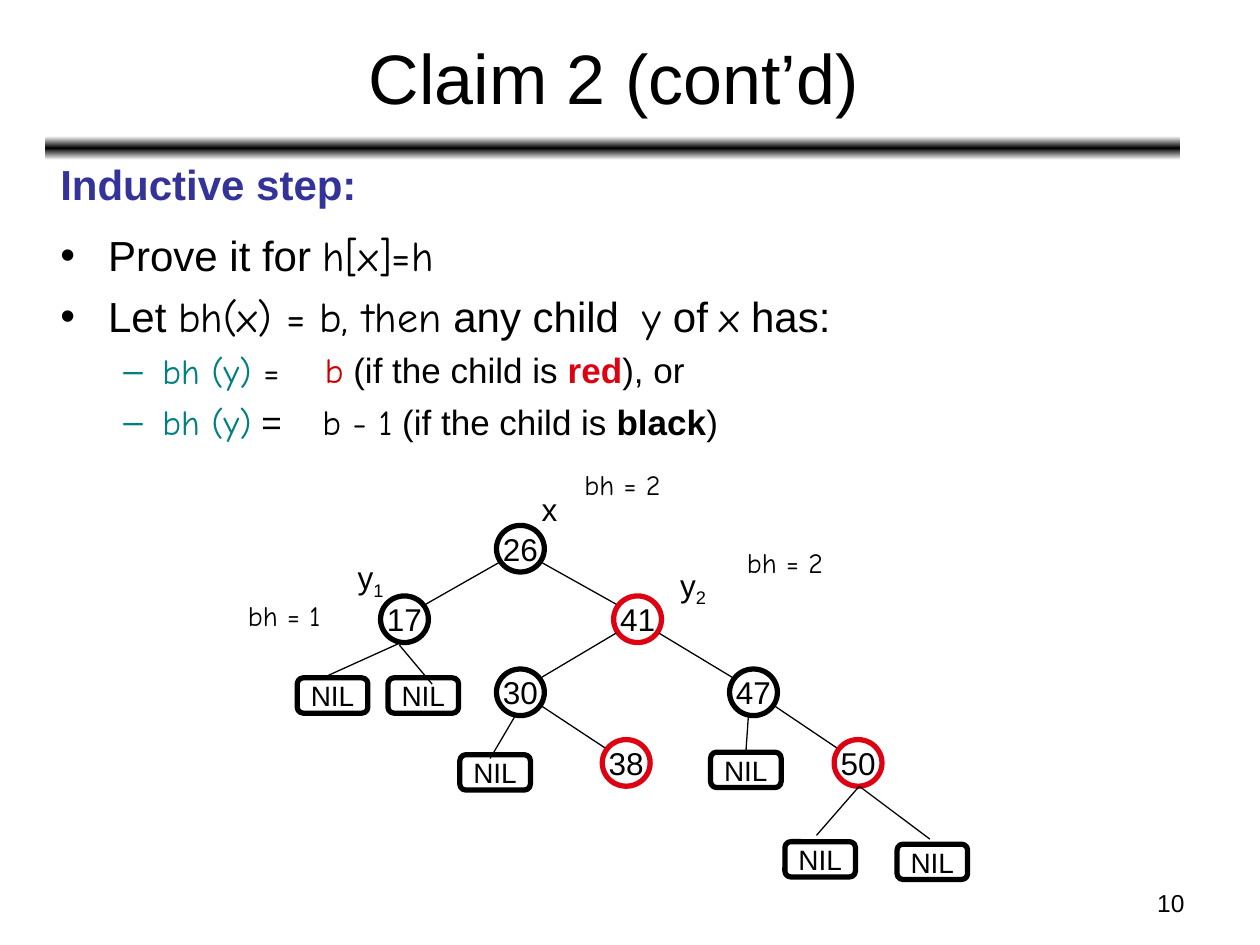
from dataclasses import dataclass, replace

from pptx import Presentation
from pptx.dml.color import RGBColor
from pptx.enum.shapes import MSO_CONNECTOR, MSO_SHAPE
from pptx.enum.text import MSO_ANCHOR, MSO_AUTO_SIZE, PP_ALIGN
from pptx.oxml import parse_xml
from pptx.oxml.ns import nsdecls
from pptx.util import Inches, Pt


@dataclass(frozen=True)
class Theme:
    """Colours, fonts, type sizes and line widths of the slide."""
    black: str = "000000"
    white: str = "FFFFFF"
    heading: str = "333399"
    teal: str = "008080"
    dark_red: str = "CC0000"
    red: str = "DD0111"
    sans: str = "Arial"
    hand: str = "Comic Neue"
    title: int = 40
    body: int = 24
    detail: int = 20
    node: int = 18
    label: int = 16
    number: int = 14
    outline: float = 3
    edge: float = 0.75


@dataclass(frozen=True)
class Span:
    """A piece of text in one style."""
    text: str
    size: int
    font: str = Theme.sans
    color: str = Theme.black
    bold: bool = False
    baseline: int = 0


THEME = Theme()
COLUMNS, ROWS = 100, 75
SLIDE_WIDTH, SLIDE_HEIGHT = Inches(10), Inches(7.5)
NODE_SIZE = (3.8, 3.7)
LEAF_SIZE = (5.6, 2.8)
EDGE_START = (1.7, 1.1)
EDGE_END = (1.7, 1.2)

NODES = {
    "26": (39.4, 41.7, THEME.black),
    "17": (30.2, 47.3, THEME.black),
    "41": (48.7, 47.3, THEME.red),
    "30": (39.4, 53.1, THEME.black),
    "47": (57.9, 53.1, THEME.black),
    "38": (47.8, 58.7, THEME.red),
    "50": (66.2, 58.7, THEME.red),
}
EDGES = [("26", "17"), ("26", "41"), ("41", "30"), ("41", "47"), ("30", "38"), ("47", "50")]
LEAVES = [
    ((23.6, 53.8), (31.6, 51.1), (25.4, 53.9)),
    ((30.8, 53.8), (31.7, 51.2), (34.3, 54.3)),
    ((36.5, 59.9), (40.9, 56.8), (38.9, 60.2)),
    ((56.4, 59.7), (59.4, 56.8), None),
    ((71.2, 67), (68.2, 62.4), (73.8, 66.6)),
    ((62.3, 66.8), (68.2, 62.4), (64.8, 66.3)),
]


def column(count):
    """Turn grid columns into a length."""
    return round(SLIDE_WIDTH * count / COLUMNS)


def row(count):
    """Turn grid rows into a length."""
    return round(SLIDE_HEIGHT * count / ROWS)


def area(left, top, width, height):
    """Turn a grid area into a position and a size."""
    return column(left), row(top), column(width), row(height)


def add_spans(paragraph, spans):
    """Append styled runs to a paragraph."""
    for span in spans:
        run = paragraph.add_run()
        run.text = span.text
        run.font.name = span.font
        run.font.size = Pt(span.size)
        run.font.bold = span.bold
        run.font.color.rgb = RGBColor.from_string(span.color)
        if span.baseline:
            run.font._element.set("baseline", str(span.baseline))


def add_text(page, place, spans, align=PP_ALIGN.LEFT, wrap=False, anchor=MSO_ANCHOR.TOP):
    """Add a one-paragraph text box; a single-line label gives its right inset to the text."""
    box = page.shapes.add_textbox(*area(*place))
    frame = box.text_frame
    frame.word_wrap = wrap
    frame.auto_size = MSO_AUTO_SIZE.NONE if wrap else MSO_AUTO_SIZE.SHAPE_TO_FIT_TEXT
    frame.vertical_anchor = anchor
    if not wrap:
        frame.margin_right = 0
    frame.paragraphs[0].alignment = align
    add_spans(frame.paragraphs[0], spans)
    return box


def format_item(paragraph, level, bullet, color, spacing=1.0):
    """Set the indent, the spacing and the bullet of a list item."""
    margin, hanging = ((3.8, 3.8), (8.1, 3.1))[level]
    paragraph.level = level
    paragraph.space_before = Pt((6, 5)[level])
    paragraph.line_spacing = spacing
    properties = paragraph._p.get_or_add_pPr()
    properties.set("marL", str(column(margin)))
    properties.set("indent", str(-column(hanging)))
    if bullet:
        for part in (
            f'<a:buClr {nsdecls("a")}><a:srgbClr val="{color}"/></a:buClr>',
            f'<a:buFont {nsdecls("a")} typeface="{THEME.sans}"/>',
            f'<a:buChar {nsdecls("a")} char="{bullet}"/>',
        ):
            properties.append(parse_xml(part))


def add_outlined(page, kind, place, color, span):
    """Add an unfilled shape with a thick outline and centred text."""
    shape = page.shapes.add_shape(kind, *area(*place))
    shape.shadow.inherit = False
    shape.fill.background()
    shape.line.color.rgb = RGBColor.from_string(color)
    shape.line.width = Pt(THEME.outline)
    frame = shape.text_frame
    frame.word_wrap = False
    frame.vertical_anchor = MSO_ANCHOR.MIDDLE
    frame.paragraphs[0].alignment = PP_ALIGN.CENTER
    add_spans(frame.paragraphs[0], [span])
    return shape


def add_edge(page, start, end):
    """Add a thin straight line between two grid points."""
    edge = page.shapes.add_connector(
        MSO_CONNECTOR.STRAIGHT, column(start[0]), row(start[1]), column(end[0]), row(end[1]))
    edge.line.color.rgb = RGBColor.from_string(THEME.black)
    edge.line.width = Pt(THEME.edge)
    edge._element.spPr.append(parse_xml(f'<a:effectLst {nsdecls("a")}/>'))
    return edge


def add_rule(page):
    """Add the bar under the title, dark in the middle and fading out."""
    rule = page.shapes.add_shape(MSO_SHAPE.ROUNDED_RECTANGLE, *area(3.6, 10.8, 90.1, 1.9))
    rule.shadow.inherit = False
    rule.line.fill.background()
    shades = ((0, THEME.white), (50, THEME.black), (100, THEME.white))
    stops = "".join(
        f'<a:gs pos="{share * 1000}"><a:srgbClr val="{color}"/></a:gs>' for share, color in shades)
    rule._element.spPr.insert(2, parse_xml(
        f'<a:gradFill {nsdecls("a")}><a:gsLst>{stops}</a:gsLst><a:lin ang="5400000"/></a:gradFill>'))


def add_argument(page):
    """Add the inductive step with its list and the two cases."""
    plain, hand = Span("", THEME.body), Span("", THEME.body, THEME.hand)
    small = Span("", THEME.detail)
    small_hand = replace(small, font=THEME.hand)
    case = replace(small_hand, text="bh (y)", color=THEME.teal)
    box = add_text(page, (3.8, 12.1, 91.1, 23.6),
                   [Span("Inductive step:", THEME.body, color=THEME.heading, bold=True)], wrap=True)
    frame = box.text_frame
    format_item(frame.paragraphs[0], 0, None, None)
    let = [replace(style, text=text) for style, text in (
        (plain, "Let "), (hand, "bh(x) = b, then"), (plain, " any child  "), (hand, "y"),
        (plain, " of "), (hand, "x"), (plain, " has:"))]
    prove = [replace(plain, text="Prove it for "), replace(hand, text="h[x]=h")]
    for spans, level, bullet, color, spacing in (
        (prove, 0, "•", THEME.black, 1.2),
        (let, 0, "•", THEME.black, 1.0),
        ([case, replace(small_hand, text=" =")], 1, "–", THEME.teal, 1.0),
        ([case, replace(small, text=" =")], 1, "–", THEME.teal, 1.0),
    ):
        paragraph = frame.add_paragraph()
        format_item(paragraph, level, bullet, color, spacing)
        add_spans(paragraph, spans)
    for place, value, value_color, child, child_color, ending in (
        ((24.8, 27.2, 30.5, 4.4), "b", THEME.dark_red, "red", THEME.red, "), or"),
        ((24.6, 31.3, 33.4, 4.4), "b - 1", THEME.black, "black", THEME.black, ")"),
    ):
        add_text(page, place, [
            replace(small_hand, text=value, color=value_color),
            replace(small, text=" (if the child is "),
            replace(small, text=child, color=child_color, bold=True),
            replace(small, text=ending)])


def add_tree(page):
    """Add the red-black tree with its leaves and labels."""
    for key, (left, top, color) in NODES.items():
        add_outlined(page, MSO_SHAPE.OVAL, (left, top, *NODE_SIZE), color, Span(key, THEME.node))
    centres = {key: (left + NODE_SIZE[0] / 2, top + NODE_SIZE[1] / 2)
               for key, (left, top, _) in NODES.items()}
    for parent, child in EDGES:
        (x, y), (child_x, child_y) = centres[parent], centres[child]
        side = 1 if child_x > x else -1
        add_edge(page, (x + side * EDGE_START[0], y + EDGE_START[1]),
                 (child_x - side * EDGE_END[0], child_y - EDGE_END[1]))
    for place, name, index in (
        ((42, 38.4, 3.2, 4), "x", ""), ((27.4, 43.8, 4, 4.4), "y", "1"), ((53, 44.4, 4, 4.4), "y", "2"),
    ):
        spans = [Span(name, THEME.node)]
        if index:
            spans.append(Span(index, THEME.node, baseline=-25000))
        add_text(page, place, spans)
    for left, top, width, text in (
        (58.3, 42.8, 8, "bh = 2"), (45.4, 36.6, 8, "bh = 2"), (18.7, 47, 7.7, "bh = 1"),
    ):
        add_text(page, (left, top, width, 3.7), [Span(text, THEME.label, THEME.hand)])
    for corner, start, end in LEAVES:
        leaf = add_outlined(page, MSO_SHAPE.ROUNDED_RECTANGLE, (*corner, *LEAF_SIZE),
                            THEME.black, Span("NIL", THEME.label))
        edge = add_edge(page, start, end or corner)
        if end is None:
            edge.end_connect(leaf, 0)


def main():
    """Build the slide and save the deck."""
    deck = Presentation()
    deck.slide_width, deck.slide_height = SLIDE_WIDTH, SLIDE_HEIGHT
    page = deck.slides.add_slide(deck.slide_layouts[6])
    add_rule(page)
    add_text(page, (71.7, 70, 23.3, 3.5), [Span("10", THEME.number)], PP_ALIGN.RIGHT, True)
    add_text(page, (3.7, 1.1, 90, 9.9), [Span("Claim 2 (cont’d)", THEME.title)],
             PP_ALIGN.CENTER, True, MSO_ANCHOR.MIDDLE)
    add_argument(page)
    add_tree(page)
    deck.save("out.pptx")


if __name__ == "__main__":
    main()
